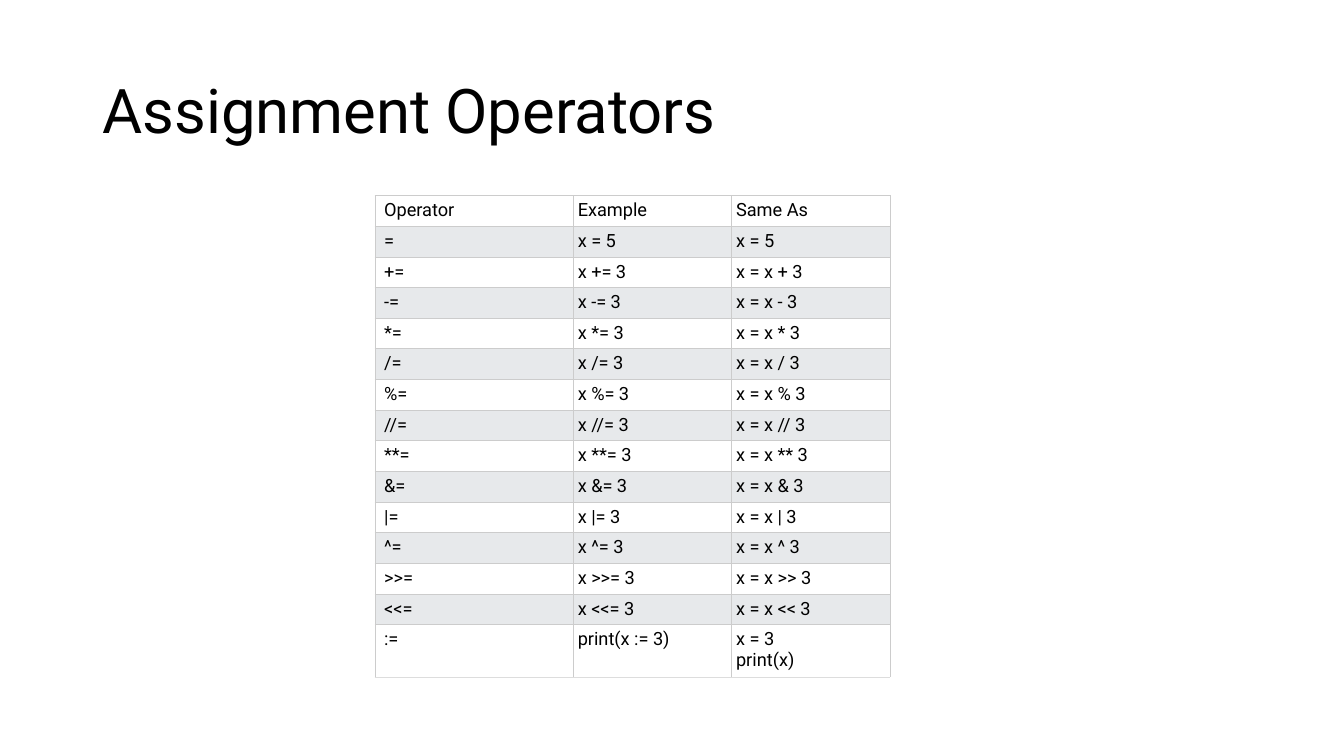
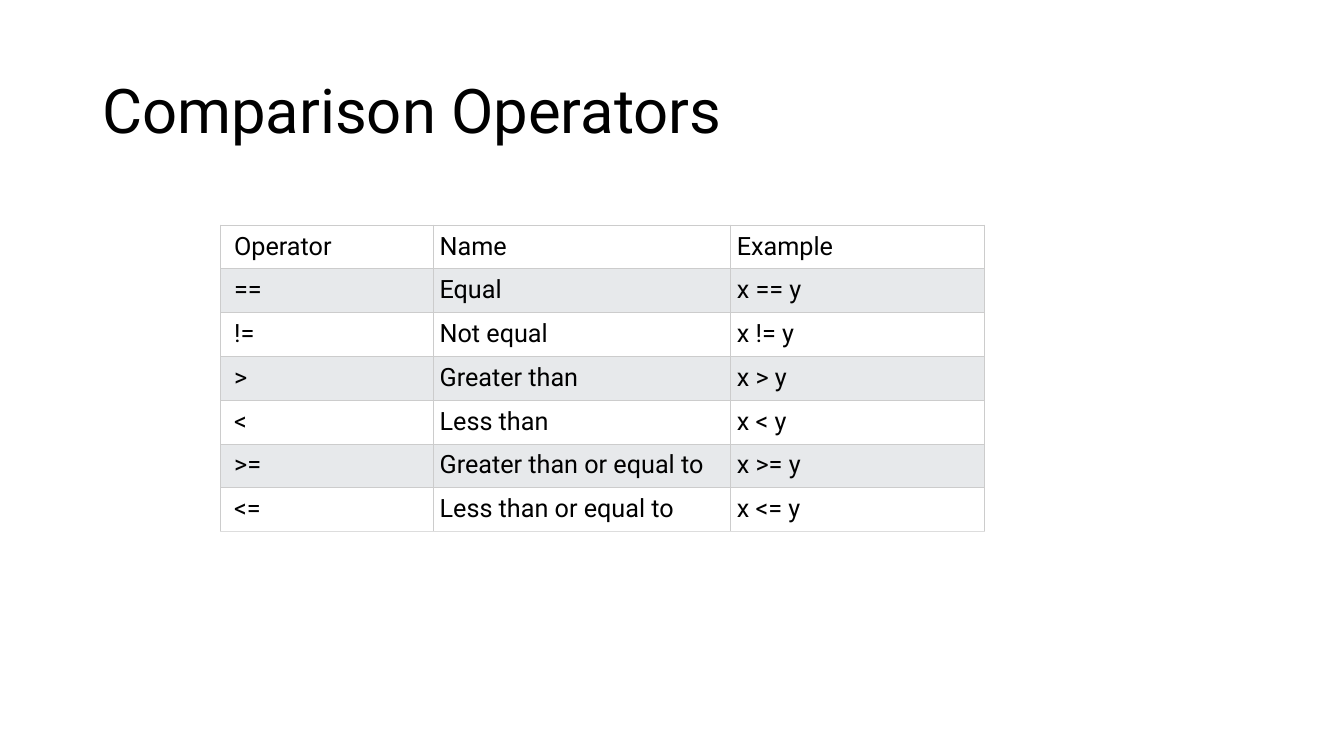
from dataclasses import dataclass

from lxml import etree
from pptx import Presentation
from pptx.dml.color import RGBColor
from pptx.enum.text import MSO_ANCHOR
from pptx.oxml.ns import qn
from pptx.slide import Slide
from pptx.table import _Cell
from pptx.text.text import _Paragraph
from pptx.util import Cm, Pt

BLACK = RGBColor(0x00, 0x00, 0x00)
WHITE = RGBColor(0xFF, 0xFF, 0xFF)
BAND_GREY = RGBColor(0xE7, 0xE9, 0xEB)
BORDER_GREY = RGBColor(0xCC, 0xCC, 0xCC)
BOTTOM_GREY = RGBColor(0xDD, 0xDD, 0xDD)
FONT_NAME = "Roboto"
BORDER_WIDTH = Pt(0.6)
MIDDLE = MSO_ANCHOR.MIDDLE
BLANK_LAYOUT = 6


@dataclass(frozen=True)
class OperatorTable:
    """One slide's title and table; lengths are in centimetres."""
    title: str
    left: float
    top: float
    column_widths: tuple[float, ...]
    row_height: float
    last_row_height: float
    first_inset: float
    inset: float
    font_size: float
    rows: tuple[tuple[str, str, str], ...]


ARITHMETIC_OPERATORS = ("+", "-", "*", "/", "%", "//", "**", "&", "|", "^", ">>", "<<")

OPERATOR_TABLES = (
    OperatorTable(
        title="Assignment Operators",
        left=9.45, top=4.93,
        column_widths=(5, 3.99, 3.99),
        row_height=0.77, last_row_height=1.3,
        first_inset=0.23, inset=0.11, font_size=13,
        rows=(
            ("Operator", "Example", "Same As"),
            ("=", "x = 5", "x = 5"),
            *((f"{operator}=", f"x {operator}= 3", f"x = x {operator} 3")
              for operator in ARITHMETIC_OPERATORS),
            (":=", "print(x := 3)", "x = 3\nprint(x)"),
        ),
    ),
    OperatorTable(
        title="Comparison Operators",
        left=5.56, top=5.67,
        column_widths=(5.35, 7.49, 6.42),
        row_height=1.08, last_row_height=1.08,
        first_inset=0.34, inset=0.17, font_size=18,
        rows=(
            ("Operator", "Name", "Example"),
            ("==", "Equal", "x == y"),
            ("!=", "Not equal", "x != y"),
            (">", "Greater than", "x > y"),
            ("<", "Less than", "x < y"),
            (">=", "Greater than or equal to", "x >= y"),
            ("<=", "Less than or equal to", "x <= y"),
        ),
    ),
)


def write_text(paragraph: _Paragraph, text: str, *, size: float,
               color: RGBColor = BLACK, line_spacing: float = 1.0) -> None:
    paragraph.text = text
    paragraph.line_spacing = line_spacing
    for run in paragraph.runs:
        run.font.name = FONT_NAME
        run.font.size = Pt(size)
        run.font.color.rgb = color
    for line_break in paragraph._p.findall(qn("a:br")):
        etree.SubElement(line_break, qn("a:rPr"), sz=str(int(size * 100)))


def set_borders(cell: _Cell, bottom_color: RGBColor) -> None:
    """Draw all four borders; call this before the cell gets its fill."""
    properties = cell._tc.get_or_add_tcPr()
    for side in "LRTB":
        color = bottom_color if side == "B" else BORDER_GREY
        line = etree.SubElement(properties, qn(f"a:ln{side}"), w=str(int(BORDER_WIDTH)))
        fill = etree.SubElement(line, qn("a:solidFill"))
        etree.SubElement(fill, qn("a:srgbClr"), val=str(color))


def add_title(slide: Slide, text: str) -> None:
    shape = slide.shapes.add_textbox(Cm(2.33), Cm(1.01), Cm(29.21), Cm(3.68))
    frame = shape.text_frame
    frame.word_wrap = True
    frame.vertical_anchor = MIDDLE
    write_text(frame.paragraphs[0], text, size=44, line_spacing=0.9)


def add_operator_table(slide: Slide, content: OperatorTable) -> None:
    last_row = len(content.rows) - 1
    height = content.row_height * last_row + content.last_row_height
    shape = slide.shapes.add_table(
        len(content.rows), len(content.column_widths),
        Cm(content.left), Cm(content.top), Cm(sum(content.column_widths)), Cm(height))
    table = shape.table
    table.first_row = False
    table.horz_banding = False
    for column, width in zip(table.columns, content.column_widths):
        column.width = Cm(width)

    for row_index, texts in enumerate(content.rows):
        is_last = row_index == last_row
        table.rows[row_index].height = Cm(
            content.last_row_height if is_last else content.row_height)
        for column_index, text in enumerate(texts):
            cell = table.cell(row_index, column_index)
            cell.margin_left = Cm(content.inset if column_index else content.first_inset)
            cell.margin_right = cell.margin_top = cell.margin_bottom = Cm(content.inset)
            set_borders(cell, BOTTOM_GREY if is_last else BORDER_GREY)
            cell.fill.solid()
            cell.fill.fore_color.rgb = BAND_GREY if row_index % 2 else WHITE
            write_text(cell.text_frame.paragraphs[0], text, size=content.font_size)


def main() -> None:
    presentation = Presentation()
    presentation.slide_width = Cm(33.87)
    presentation.slide_height = Cm(19.05)
    for content in OPERATOR_TABLES:
        slide = presentation.slides.add_slide(presentation.slide_layouts[BLANK_LAYOUT])
        add_title(slide, content.title)
        add_operator_table(slide, content)
    presentation.save("out.pptx")


if __name__ == "__main__":
    main()
